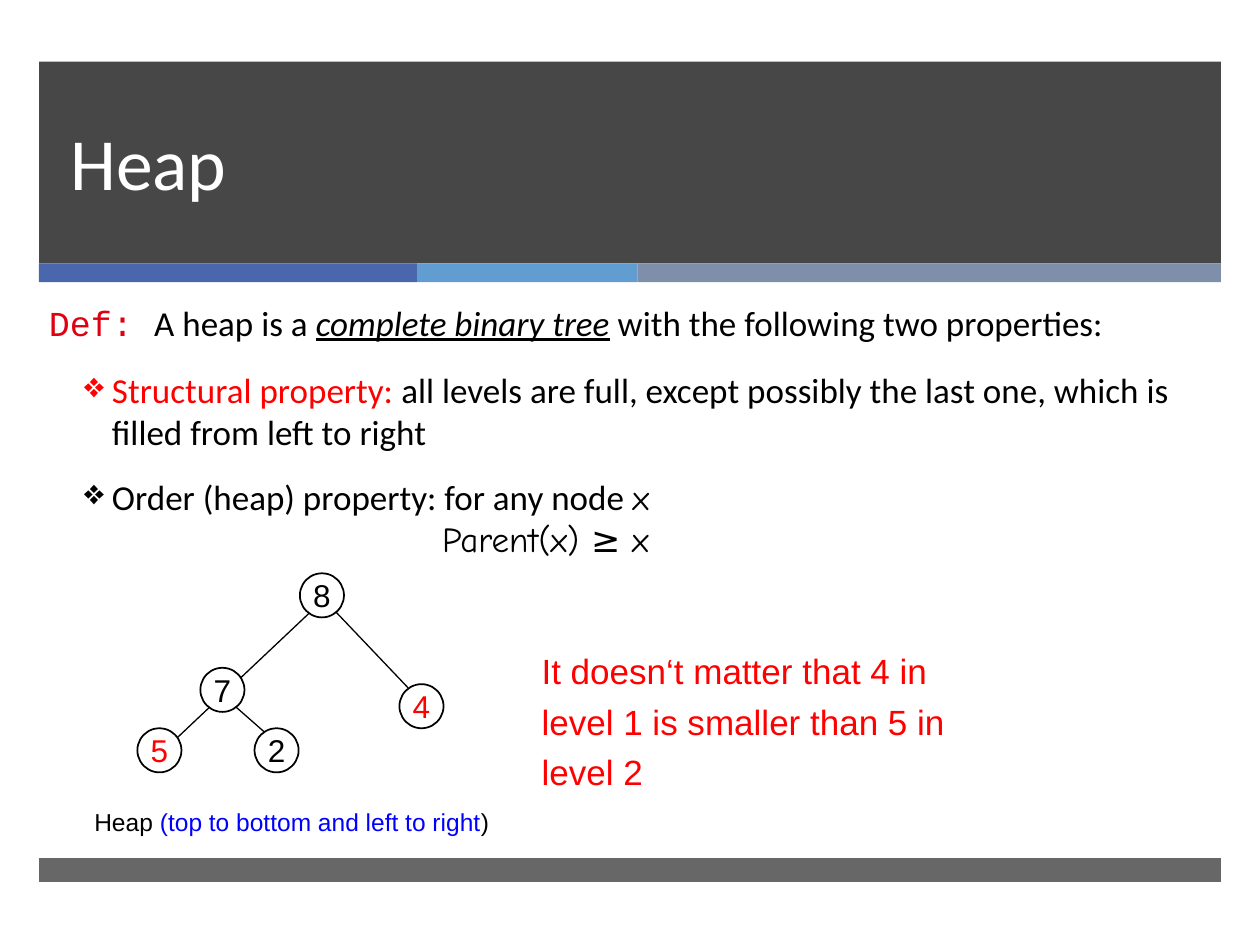
from dataclasses import dataclass

from pptx import Presentation
from pptx import util as u
from pptx.dml.color import RGBColor
from pptx.enum import shapes, text
from pptx.oxml import parse_xml
from pptx.oxml.ns import nsdecls

Inches, Pt = u.Inches, u.Pt


@dataclass(frozen=True)
class Theme:
    banner: str = "474747"
    footer: str = "676767"
    accents: tuple = ("4A66AC", "629DD1", "7F8FA9")
    white: str = "FFFFFF"
    black: str = "000000"
    red: str = "FF0000"
    crimson: str = "DD0111"
    blue: str = "0000FF"
    title: float = 42
    body: float = 20
    node: float = 18
    caption: float = 14


theme = Theme()


def write(para, words, size=theme.body, font="Calibri", color=theme.black,
          italic=False, underline=False):
    span = para.add_run()
    span.text = words
    span.font.size = Pt(size)
    span.font.name = font
    span.font.color.rgb = RGBColor.from_string(color)
    span.font.italic = italic
    span.font.underline = underline


def add_box(left, top, width, height):
    box = page.shapes.add_textbox(
        Inches(left), Inches(top), Inches(width), Inches(height))
    box.text_frame.word_wrap = True
    return box.text_frame


deck = Presentation()
deck.slide_width, deck.slide_height = Inches(10), Inches(7.5)
page = deck.slides.add_slide(deck.slide_layouts[6])

# Banner, accent strip and footer
bars = [(0.31, 0.49, 9.38, 1.6, theme.banner),
        (0.31, 6.81, 9.38, 0.19, theme.footer)]
left = 0.31
for width, color in zip((3, 1.75, 4.63), theme.accents):
    bars.append((left, 2.09, width, 0.15, color))
    left += width
for left, top, width, height, color in bars:
    bar = page.shapes.add_shape(
        shapes.MSO_SHAPE.RECTANGLE,
        Inches(left), Inches(top), Inches(width), Inches(height))
    bar.shadow.inherit = False
    bar.fill.solid()
    bar.fill.fore_color.rgb = RGBColor.from_string(color)
    bar.line.fill.background()

# Title
title = add_box(0.46, 0.49, 8.54, 1.19)
title.vertical_anchor = text.MSO_ANCHOR.BOTTOM
para = title.paragraphs[0]
para.line_spacing = Pt(46)
write(para, "Heap", size=theme.title, color=theme.white)

# Definition and the two properties
body = add_box(0.29, 2.34, 9.39, 2.47)
para = body.paragraphs[0]
write(para, "Def: ", font="Courier New", color=theme.crimson)
write(para, "A heap is a ")
write(para, "complete binary tree", italic=True, underline=True)
write(para, " with the following two properties:")

structural = body.add_paragraph()
structural.space_before = Pt(14.6)
write(structural, "Structural property: ", color=theme.red)
write(structural, "all levels are full, except possibly the last one, "
                  "which is filled from left to right")

order = body.add_paragraph()
order.space_before = Pt(12.8)
write(order, "Order (heap) property: for any node ")
write(order, "x", font="Comic Neue")

for para in (structural, order):
    props = para._p.get_or_add_pPr()
    props.set("marL", str(Inches(0.5)))
    props.set("indent", str(Inches(-0.22)))
    props.append(parse_xml(f'<a:buChar {nsdecls("a")} char="❖"/>'))

formula = body.add_paragraph()
formula._p.get_or_add_pPr().set("marL", str(Inches(3.12)))
write(formula, "Parent(x) ≥ x", font="Comic Neue")

# Tree edges, then the nodes over their ends
edges = [((1.86, 5.6), (2.11, 5.82)),
         ((1.2, 6.05), (2.62, 4.71)),
         ((3.24, 5.46), (2.45, 4.63))]
for start, end in edges:
    edge = page.shapes.add_connector(
        shapes.MSO_CONNECTOR.STRAIGHT, *map(Inches, start + end))
    edge.line.color.rgb = RGBColor.from_string(theme.black)
    edge.line.width = Pt(0.75)
    edge._element.spPr.append(parse_xml(f'<a:effectLst {nsdecls("a")}/>'))

nodes = [("5", 1.09, 5.78, theme.red),
         ("7", 1.59, 5.3, theme.black),
         ("8", 2.38, 4.55, theme.black),
         ("4", 3.17, 5.43, theme.red),
         ("2", 2.02, 5.78, theme.black)]
for key, left, top, color in nodes:
    node = page.shapes.add_shape(
        shapes.MSO_SHAPE.OVAL,
        Inches(left), Inches(top), Inches(0.35), Inches(0.35))
    node.shadow.inherit = False
    node.fill.solid()
    node.fill.fore_color.rgb = RGBColor.from_string(theme.white)
    node.line.color.rgb = RGBColor.from_string(theme.black)
    node.line.width = Pt(1)
    frame = node.text_frame
    frame.word_wrap = False
    frame.vertical_anchor = text.MSO_ANCHOR.MIDDLE
    para = frame.paragraphs[0]
    para.alignment = text.PP_ALIGN.CENTER
    write(para, key, size=theme.node, font="Arial", color=color)

# Remark and caption
para = add_box(4.2, 5.04, 3.74, 1.3).paragraphs[0]
para.line_spacing = 1.2
write(para, "It doesn‘t matter that 4 in level 1 is smaller than 5 in level 2",
      font="Arial", color=theme.red)

para = add_box(0.6, 6.36, 3.43, 0.34).paragraphs[0]
para.alignment = text.PP_ALIGN.CENTER
for words, color in (("Heap ", theme.black),
                     ("(top to bottom and left to right", theme.blue),
                     (")", theme.black)):
    write(para, words, size=theme.caption, font="Arial", color=color)

deck.save("out.pptx")
